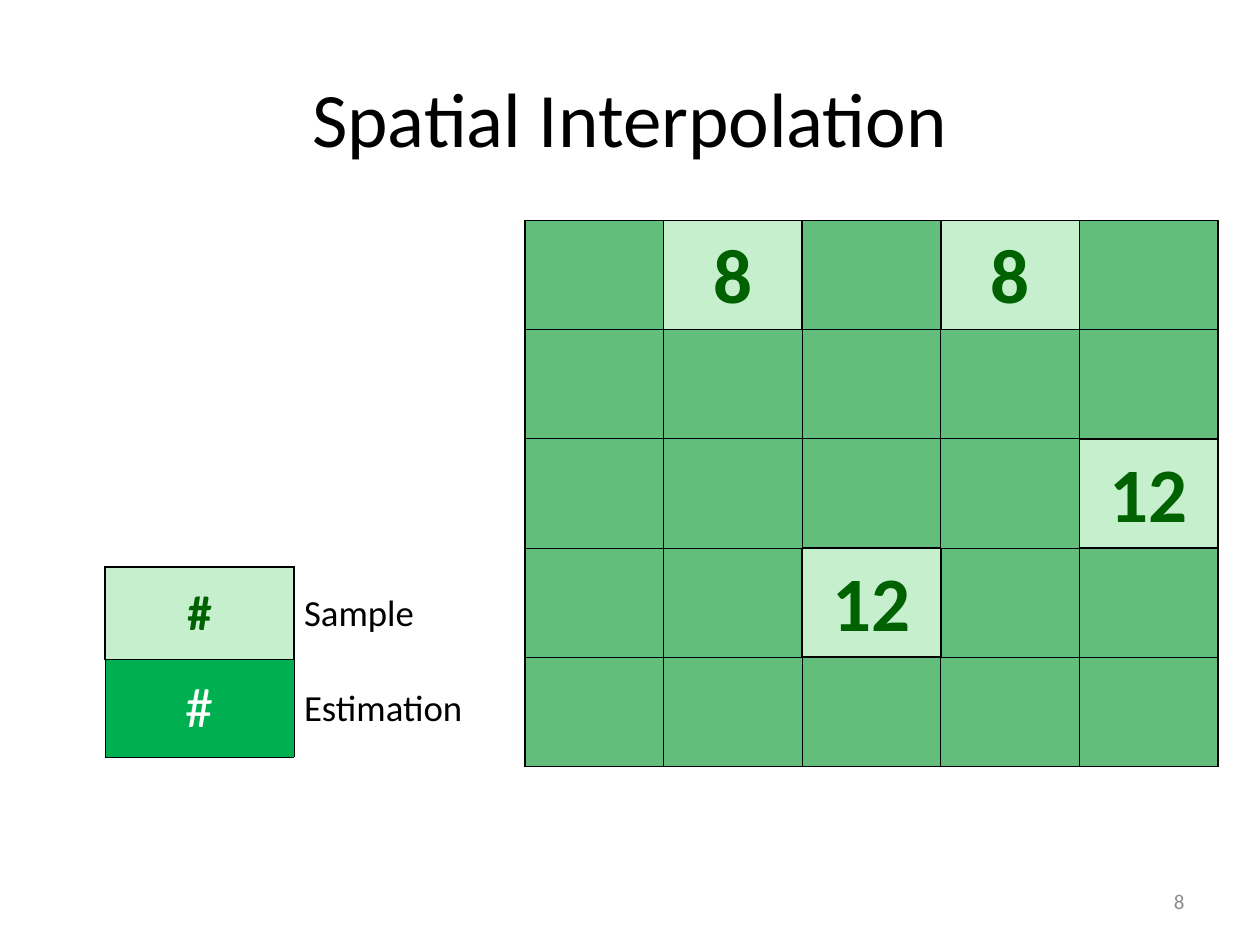
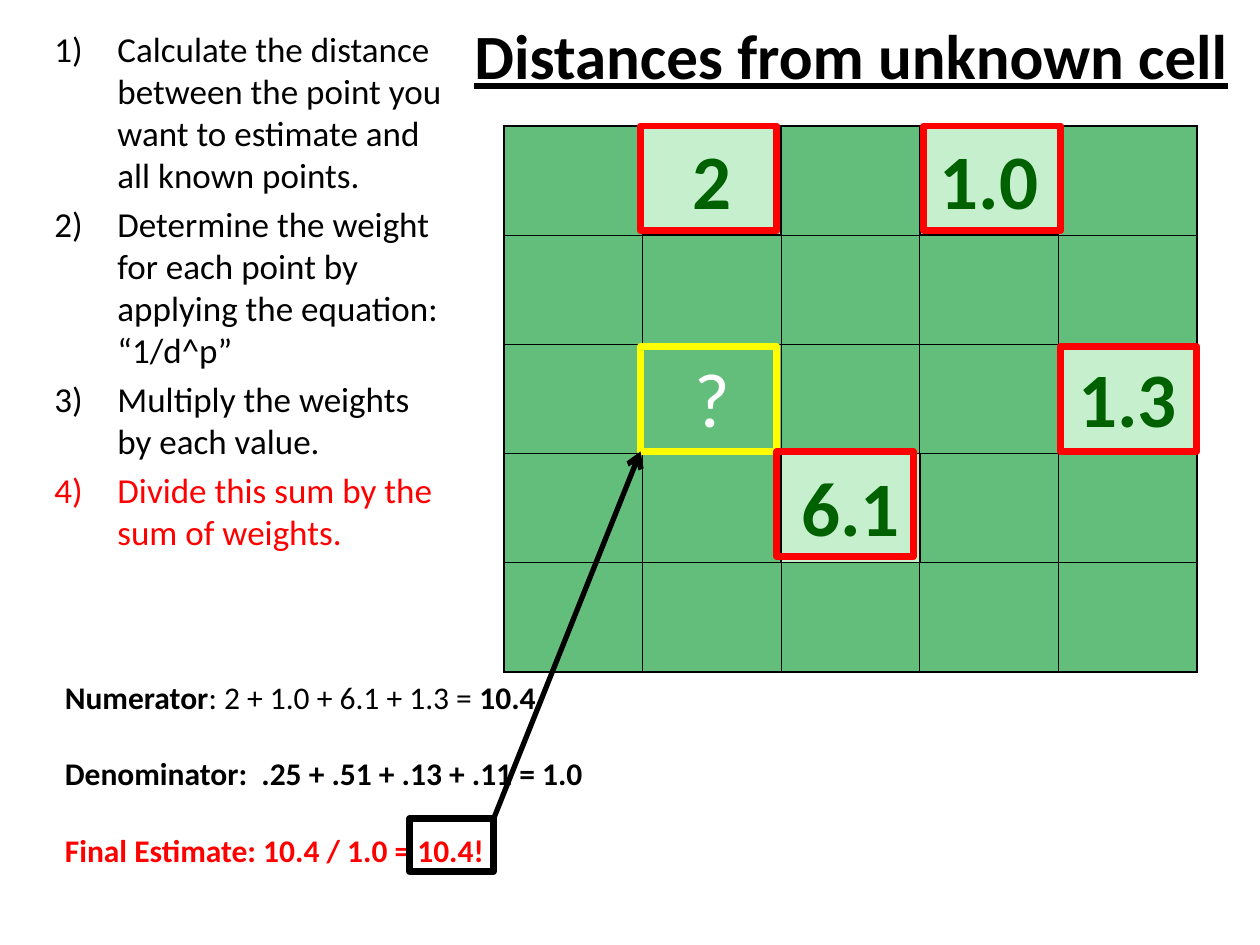
import dataclasses

import pptx
import pptx.dml.color
import pptx.enum.shapes
import pptx.enum.text
import pptx.oxml
import pptx.oxml.ns
import pptx.util
from lxml import etree


@dataclasses.dataclass(frozen=True)
class Theme:
    font: str = "Calibri"
    ink: str = "000000"
    muted: str = "8C8C8C"
    white: str = "FFFFFF"
    field: str = "63BE7B"
    sample: str = "C6EFCE"
    sample_ink: str = "006100"
    estimate: str = "00B050"
    known: str = "FF0000"
    unknown: str = "FFFF00"
    title: int = 44
    heading: int = 36
    value: int = 44
    steps: int = 20
    sums: int = 18
    label: int = 21
    number: int = 12
    thick: float = 1
    thin: float = 0.5
    frame: int = 4
    arrow: int = 3


T = Theme()
Pt = pptx.util.Pt
RGB = pptx.dml.color.RGBColor.from_string
qn = pptx.oxml.ns.qn
ALIGN = pptx.enum.text.PP_ALIGN
MIDDLE = pptx.enum.text.MSO_ANCHOR.MIDDLE
NO_STYLE = "{2D5ABB26-0587-4C30-8999-92F81FD0307C}"

prs = pptx.Presentation()
prs.slide_width = pptx.util.Inches(10)
prs.slide_height = pptx.util.Inches(7.5)
U = prs.slide_width // 120  # the slide is a grid of 120 columns by 90 rows
COL, ROW, N = 13.2, 10.4, 5  # cell size and count per side of the spatial grid


def write(target, paras, box=None, size=18, color=T.ink, bold=False, underline=False,
          align=ALIGN.LEFT, anchor=None, before=0, numbered=False):
    """Fill a cell, or a new text box on a slide; a paragraph is a list of (text, overrides)."""
    if box:
        tf = target.shapes.add_textbox(*[int(U * v) for v in box]).text_frame
        tf.word_wrap = True
        if anchor is not None:
            tf.vertical_anchor = anchor
    else:
        tf = target.text_frame
    for i, runs in enumerate(paras):
        p = tf.add_paragraph() if i else tf.paragraphs[0]
        p.alignment = align
        p.space_before = Pt(before if i or numbered else 0)
        if numbered:
            pPr = p._p.get_or_add_pPr()
            pPr.set("marL", str(6 * U))
            pPr.set("indent", str(-6 * U))
            etree.SubElement(pPr, qn("a:buFont"), typeface="+mj-lt")
            etree.SubElement(pPr, qn("a:buAutoNum"), type="arabicParenR")
        for text, own in runs:
            r = p.add_run()
            r.text = text
            r.font.name, r.font.size = T.font, Pt(size)
            r.font.bold = own.get("bold", bold)
            r.font.underline = underline
            r.font.color.rgb = RGB(own.get("color", color))


def table(s, left, top, widths, heights, cells):
    """Cells map (row, column) to text, fill, edges (left, right, top, bottom), insets, format."""
    size = (left, top, sum(widths), sum(heights))
    tbl = s.shapes.add_table(len(heights), len(widths), *[int(U * v) for v in size]).table
    tbl.first_row = tbl.horz_banding = False
    tbl._tbl.tblPr.find(qn("a:tableStyleId")).text = NO_STYLE
    for column, width in zip(tbl.columns, widths):
        column.width = int(U * width)
    for row, height in zip(tbl.rows, heights):
        row.height = int(U * height)
    for (r, c), (text, fill, edges, insets, style) in cells.items():
        cell = tbl.cell(r, c)
        cell.vertical_anchor = MIDDLE
        cell.margin_left, cell.margin_right, cell.margin_top, cell.margin_bottom = [
            pptx.util.Inches(v) for v in insets]
        tcPr = cell._tc.get_or_add_tcPr()
        for side, width in zip("LRTB", edges):
            if width:
                ln = etree.SubElement(tcPr, qn("a:ln" + side), w=str(Pt(width)))
                line_fill = etree.SubElement(ln, qn("a:solidFill"))
                etree.SubElement(line_fill, qn("a:srgbClr"), val=T.ink)
        if fill:
            cell.fill.solid()
            cell.fill.fore_color.rgb = RGB(fill)
        else:
            cell.fill.background()
        if text:
            write(cell, [[(text, {})]], **style)


sample_style = dict(size=T.value, color=T.sample_ink, bold=True, align=ALIGN.CENTER)
unknown_style = dict(size=T.value, color=T.white, align=ALIGN.CENTER)
interpolation, distances = [prs.slides.add_slide(prs.slide_layouts[6]) for _ in range(2)]

# Spatial grids: heavy lines run around the grid and around each sample
sample_cells = [(0, 1), (0, 3), (2, 4), (3, 2)]
unknown_cell = (2, 1)
for s, left, top, values, guess in (
        (interpolation, 50, 21, ("8", "8", "12", "12"), ""),
        (distances, 48, 12, ("2", "1.0", "1.3", "6.1"), "?")):
    samples = dict(zip(sample_cells, values))
    cells = {}
    for r in range(N):
        for c in range(N):
            here = (r, c)
            neighbours = [(r, c - 1), (r, c + 1), (r - 1, c), (r + 1, c)]
            edges = [T.thick if here in samples or n in samples
                     or not (0 <= n[0] < N and 0 <= n[1] < N) else T.thin
                     for n in neighbours]
            text = samples.get(here, guess if here == unknown_cell else "")
            cells[here] = (text, T.sample if here in samples else T.field, edges,
                           (0.04, 0.04, 0.04, 0),
                           sample_style if here in samples else unknown_style)
    table(s, left, top, [COL] * N, [ROW] * N, cells)

# Slide 1: title, legend, number
s = interpolation
write(s, [[("Spatial Interpolation", {})]], (6, 3.6, 108, 15), size=T.title,
      align=ALIGN.CENTER, anchor=MIDDLE)
write(s, [[("8", {})]], (86, 83.4, 28, 4.8), size=T.number, color=T.muted,
      align=ALIGN.RIGHT, anchor=MIDDLE)
key_insets, label_insets = (0.01, 0.01, 0.01, 0), (0.08, 0.01, 0.01, 0)
label_style = dict(size=T.label)
table(s, 10, 54, [18, 18], [8.8, 9.3], {
    (0, 0): ("#", T.sample, (T.thick, T.thick, T.thick, T.thin), key_insets,
             {**sample_style, "size": 28}),
    (0, 1): ("Sample", None, (T.thick, 0, 0, 0), label_insets, label_style),
    (1, 0): ("#", T.estimate, [T.thin] * 4, key_insets, {**unknown_style, "size": 32}),
    (1, 1): ("Estimation", None, (T.thin, 0, 0, 0), label_insets, label_style),
})

# Slide 2: heading, steps, sums
s = distances
write(s, [[("Distances from unknown cell", {})]], (44, 1, 76, 8.5), size=T.heading,
      bold=True, underline=True)
write(s, [
    [("Calculate the distance between the point you want to estimate and all known points.", {})],
    [("Determine the weight for each point by applying the equation: “1/d^p”", {})],
    [("Multiply the weights by each value.", {})],
    [("Divide this sum by the sum of weights.", {"color": T.known})],
], (4, 2, 40, 76), size=T.steps, before=4, numbered=True)
write(s, [
    [("Numerator", {}), (": 2 + 1.0 + 6.1 + 1.3 = ", {"bold": False}), ("10.4", {})],
    [("Denominator:  .25 + .51 + .13 + .11 = 1.0", {})],
    [("Final Estimate: 10.4 / 1.0 = 10.4!", {"color": T.known})],
], (5, 64, 62, 23), size=T.sums, bold=True, before=22)

# Frames around the unknown cell, the samples and the result
frames = [(round(48 + COL * c), round(12 + ROW * r), 13, 10,
           T.unknown if (r, c) == unknown_cell else T.known)
          for r, c in [unknown_cell] + sample_cells]
for *box, color in frames + [(39, 78, 8, 5, T.ink)]:
    sp = s.shapes.add_shape(pptx.enum.shapes.MSO_SHAPE.RECTANGLE, *[U * v for v in box])
    sp.shadow.inherit = False
    sp.fill.background()
    sp.line.color.rgb = RGB(color)
    sp.line.width = Pt(T.frame)

# Arrow from the result to the unknown cell
arrow = s.shapes.add_connector(pptx.enum.shapes.MSO_CONNECTOR.STRAIGHT,
                               *[U * v for v in (47, 78, 61, 43)])
arrow.line.color.rgb = RGB(T.ink)
arrow.line.width = Pt(T.arrow)
etree.SubElement(arrow.line._get_or_add_ln(), qn("a:tailEnd"), type="arrow")
etree.SubElement(arrow._element.spPr, qn("a:effectLst"))

prs.save("out.pptx")
